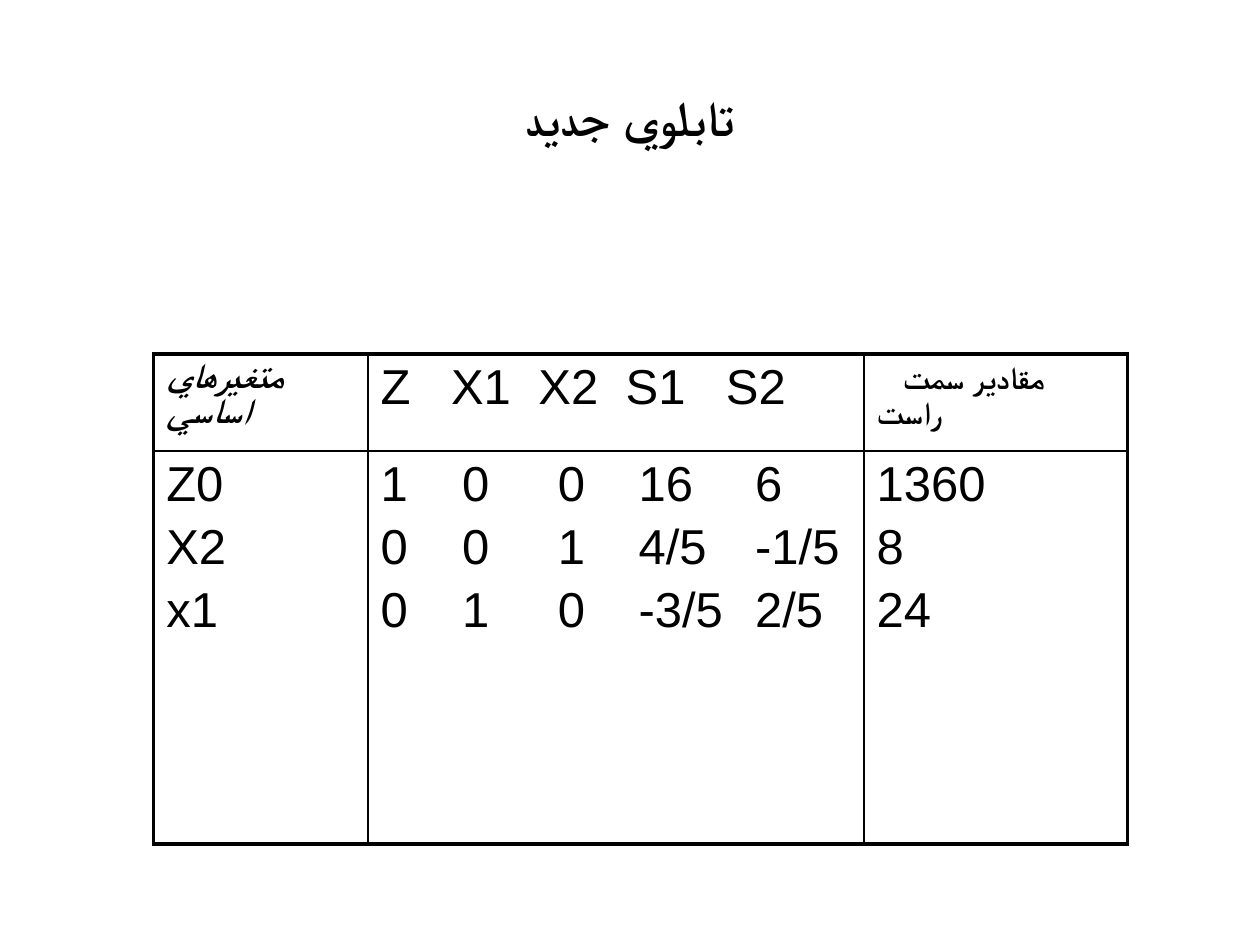
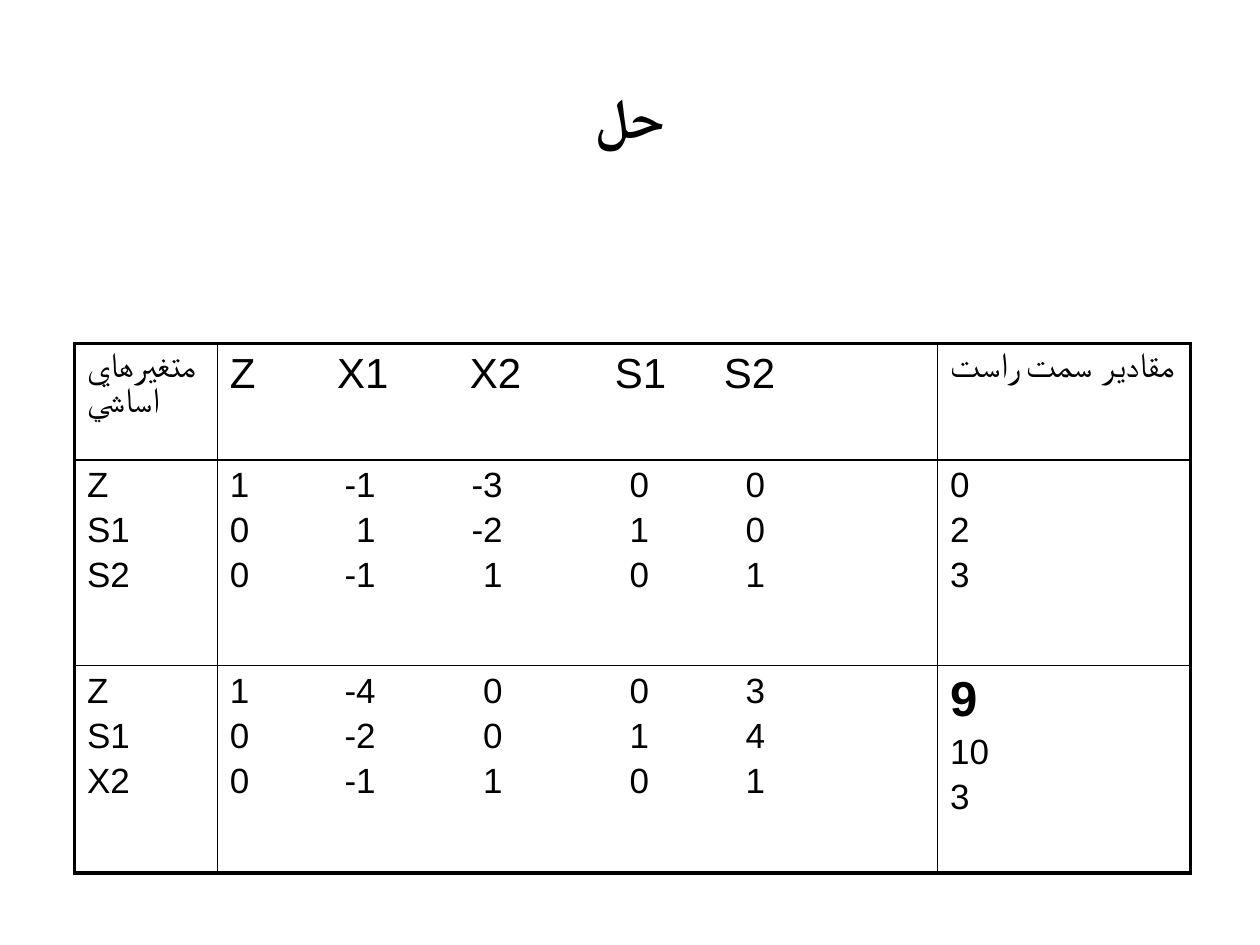
"""Build two slides with simplex tableaus."""
from dataclasses import dataclass

from lxml import etree
from pptx import Presentation
from pptx import util as u
from pptx.dml.color import RGBColor
from pptx.enum import text
from pptx.oxml import ns

FONT = "Arial"
BLACK = "000000"
OUTER_WIDTH, INNER_WIDTH = 2.25, 1
SPACE_BEFORE = 0.17


@dataclass
class Line:
    """One paragraph of a cell; tabs holds (position in cm, alignment) pairs."""
    text: str
    size: float = 20
    bold: bool = False
    italic: bool = False
    tabs: tuple = ()
    indent: float = 0
    spacing: float = 0


def color(value):
    """Turn a hex string into a colour."""
    return RGBColor.from_string(value)


def add_child(parent, tag, **attributes):
    """Append a drawing element to its parent."""
    return etree.SubElement(parent, ns.qn(tag), attributes)


def format_font(paragraph, size, bold=False, italic=False):
    """Give a paragraph the shared typeface, also for Arabic script."""
    font = paragraph.font
    font.name, font.size = FONT, u.Pt(size)
    font.bold, font.italic = bold, italic
    font.color.rgb = color(BLACK)
    add_child(paragraph._p.pPr.find(ns.qn("a:defRPr")), "a:cs", typeface=FONT)


def write_line(paragraph, line):
    """Write and format one line of a cell."""
    paragraph.text = line.text
    paragraph.alignment = text.PP_ALIGN.LEFT
    properties = paragraph._p.get_or_add_pPr()
    if line.indent:
        properties.set("marL", "0")
        properties.set("indent", str(u.Cm(line.indent)))
    if line.tabs:
        stops = add_child(properties, "a:tabLst")
        for position, alignment in line.tabs:
            add_child(stops, "a:tab", pos=str(u.Cm(position)), algn=alignment)
    paragraph.space_before = u.Pt(round(line.size * SPACE_BEFORE, 1))
    if line.spacing:
        paragraph.line_spacing = u.Pt(line.spacing)
    format_font(paragraph, line.size, line.bold, line.italic)


def draw_borders(cell, outer_sides):
    """Draw the four cell borders, heavier on the table's edge."""
    properties = cell._tc.get_or_add_tcPr()
    for side in "LRTB":
        width = OUTER_WIDTH if side in outer_sides else INNER_WIDTH
        border = add_child(properties, f"a:ln{side}", w=str(u.Pt(width)))
        fill = add_child(border, "a:solidFill")
        add_child(fill, "a:srgbClr", val=BLACK)


def fill_cell(cell, lines, outer_sides):
    """Fill a cell with lines, borders and no background."""
    draw_borders(cell, outer_sides)
    cell.fill.background()
    frame = cell.text_frame
    for index, line in enumerate(lines):
        write_line(frame.add_paragraph() if index else frame.paragraphs[0], line)


def add_tableau(slide, left, top, widths, heights, rows):
    """Add a tableau with its measures in cm."""
    frame = slide.shapes.add_table(
        len(heights), len(widths), u.Cm(left), u.Cm(top),
        u.Cm(sum(widths)), u.Cm(sum(heights)))
    table = frame.table
    table.first_row = table.horz_banding = False
    for column, width in zip(table.columns, widths):
        column.width = u.Cm(width)
    for row, height in zip(table.rows, heights):
        row.height = u.Cm(height)
    last_row, last_column = len(heights) - 1, len(widths) - 1
    for r, cells in enumerate(rows):
        for c, lines in enumerate(cells):
            edges = {"L": c == 0, "R": c == last_column,
                     "T": r == 0, "B": r == last_row}
            outer_sides = [side for side, is_outer in edges.items() if is_outer]
            fill_cell(table.cell(r, c), lines, outer_sides)


def add_titled_slide(presentation, title, size):
    """Add a slide with a centred bold title."""
    slide = presentation.slides.add_slide(presentation.slide_layouts[5])
    shape = slide.shapes.title
    shape.left, shape.top = u.Cm(1.27), u.Cm(0.76)
    shape.width, shape.height = u.Cm(22.86), u.Cm(3.18)
    frame = shape.text_frame
    frame.text = title
    frame.vertical_anchor = text.MSO_ANCHOR.MIDDLE
    paragraph = frame.paragraphs[0]
    paragraph.alignment = text.PP_ALIGN.CENTER
    format_font(paragraph, size, bold=True)
    return slide


def column(values, size=20):
    """Make one line for each value."""
    return [Line(value, size) for value in values.split()]


def matrix(rows, tabs, size=20):
    """Make tabbed lines from rows of values."""
    return [Line("\t".join(row.split()), size, tabs=tabs) for row in rows]


def tab_stops(alignment, *positions):
    """Pair each tab position with one alignment."""
    return tuple((position, alignment) for position in positions)


def add_new_tableau_slide(presentation):
    """Add the slide with the new tableau."""
    slide = add_titled_slide(presentation, "تابلوي جديد", 28)
    header_tabs = tab_stops("l", 1.42, 3.18, 4.94, 6.96)
    value_tabs = tab_stops("l", 1.64, 3.57, 5.2, 7.55)
    add_tableau(slide, 3.1, 7.14, (4.32, 10, 5.31), (1.95, 7.92), [
        [[Line("متغيرهاي اساسي", bold=True, italic=True, spacing=20)],
         matrix(["Z X1 X2 S1 S2"], header_tabs, 28),
         [Line("مقادير سمت راست", 18, bold=True, indent=0.53)]],
        [column("Z0 X2 x1", 28),
         matrix(["1 0 0 16 6", "0 0 1 4/5 -1/5", "0 1 0 -3/5 2/5"],
                value_tabs, 28),
         column("1360 8 24", 28)],
    ])


def add_solution_slide(presentation):
    """Add the slide with the solution steps."""
    slide = add_titled_slide(presentation, "حل", 32)
    header_tabs = tab_stops("l", 2.16, 4.84, 7.76, 9.96)
    value_tabs = tab_stops("r", 2.94, 5.5, 8.45, 10.79)
    add_tableau(slide, 1.5, 6.93, (2.88, 14.52, 5.1), (2.34, 4.15, 4.18), [
        [[Line("متغيرهاي اساسي", spacing=20)],
         matrix(["Z X1 X2 S1 S2"], header_tabs, 24),
         [Line("مقادير سمت راست", spacing=20)]],
        [column("Z S1 S2"),
         matrix(["1 -1 -3 0 0", "0 1 -2 1 0", "0 -1 1 0 1"], value_tabs),
         column("0 2 3")],
        [column("Z S1 X2"),
         matrix(["1 -4 0 0 3", "0 -2 0 1 4", "0 -1 1 0 1"], value_tabs),
         [Line("9", 28, bold=True), *column("10 3")]],
    ])


def main():
    """Build and save the presentation."""
    presentation = Presentation()
    presentation.slide_width = u.Cm(25.4)
    presentation.slide_height = u.Cm(19.05)
    add_new_tableau_slide(presentation)
    add_solution_slide(presentation)
    presentation.save("out.pptx")


if __name__ == "__main__":
    main()
